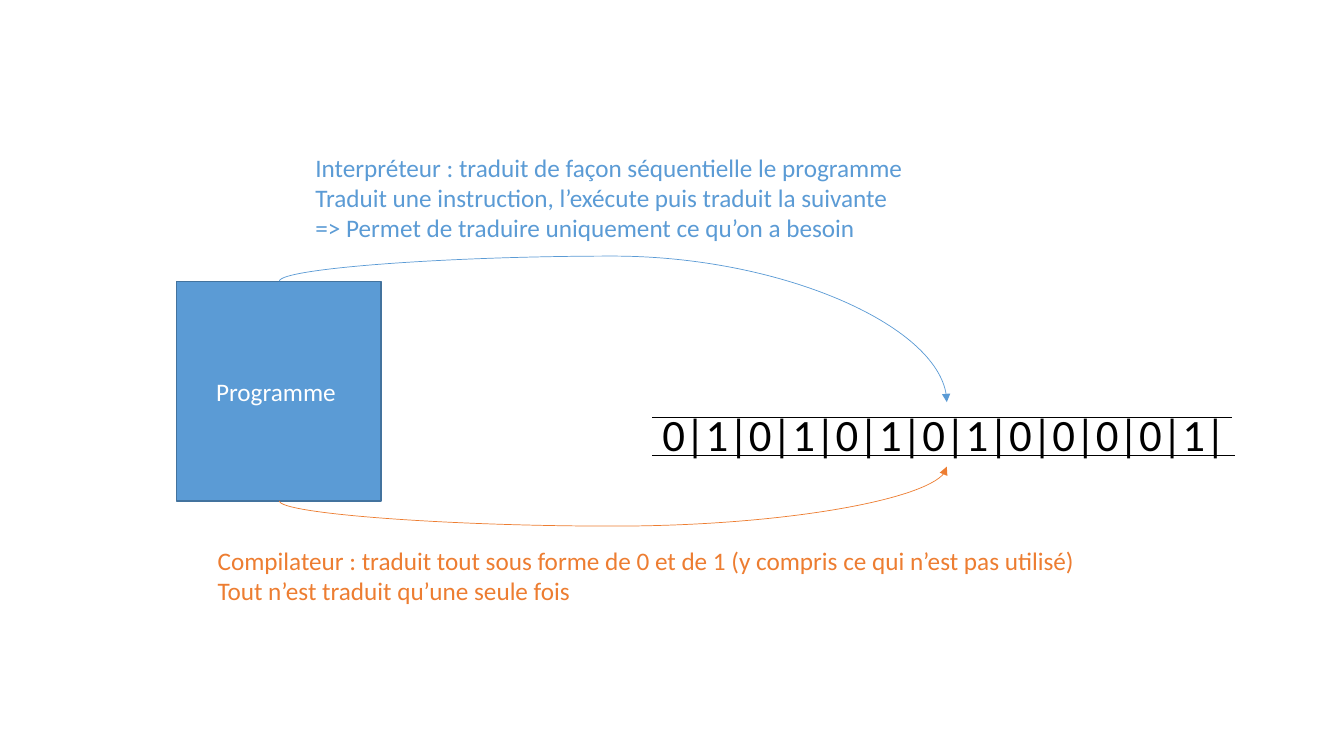
from lxml import etree
from pptx import Presentation
from pptx import util as u
from pptx.dml.color import RGBColor
from pptx.enum import shapes, text
from pptx.oxml import ns

BLUE = RGBColor(0x5B, 0x9B, 0xD5)
EDGE = RGBColor(0x43, 0x73, 0x9E)
ORANGE = RGBColor(0xED, 0x7D, 0x31)
BLACK = RGBColor(0, 0, 0)
WHITE = RGBColor(255, 255, 255)

BITS = "0101010100001"
LABELS = [
    ((6.47, 3.99, 5.85, 0.64), 32, BLACK, ["".join(b + "|" for b in BITS)]),
    ((3.03, 1.46, 6.1, 1.01), 18, BLUE, [
        "Interpréteur : traduit de façon séquentielle le programme",
        "Traduit une instruction, l’exécute puis traduit la suivante",
        "=> Permet de traduire uniquement ce qu’on a besoin "]),
    ((2.06, 5.36, 8.81, 0.71), 18, ORANGE, [
        "Compilateur : traduit tout sous forme de 0 et de 1 (y compris ce qui n’est pas utilisé)",
        "Tout n’est traduit qu’une seule fois"]),
]
BOX = (1.75, 2.79, 2.03, 2.18)
RAILS = [(6.47, 4.14, 12.22, 4.14), (6.47, 4.52, 12.25, 4.52)]
START, GOAL, BULGE = 2.77, 9.39, 0.25
ARCS = [(2.79, 3.99, 270, BLUE), (4.97, 4.63, 90, ORANGE)]

deck = Presentation()
deck.slide_width, deck.slide_height = u.Inches(13.33), u.Inches(7.5)
page = deck.slides.add_slide(deck.slide_layouts[6]).shapes


def inch(vals):
    return [u.Inches(v) for v in vals]


def write(frame, lines, size, color, align, **look):
    for key, val in look.items():
        setattr(frame, key, val)
    frame.text = "\n".join(lines)
    for para in frame.paragraphs:
        para.alignment = align
        for key, val in {"name": "Calibri", "size": u.Pt(size)}.items():
            setattr(para.font, key, val)
        para.font.color.rgb = color


def link(kind, ends, color):
    line = page.add_connector(kind, *inch(ends))
    line.line.color.rgb = color
    line.line.width = u.Pt(0.5)
    etree.SubElement(line._element.spPr, ns.qn("a:effectLst"))
    return line


def arc(top, end, turn, color):
    rise, run = abs(end - top), GOAL - START
    midx, midy = (START + GOAL) / 2, (top + end) / 2
    side = 1 if turn == 90 else -1
    ends = (midx + rise / 2, midy + side * run / 2,
            midx - rise / 2, midy - side * run / 2)
    props = link(shapes.MSO_CONNECTOR.CURVE, ends, color)._element.spPr
    props.find(ns.qn("a:xfrm")).set("rot", str(turn * 60000))
    guides = props.find(ns.qn("a:prstGeom")).find(ns.qn("a:avLst"))
    share = round(-BULGE / rise * 100000)
    etree.SubElement(guides, ns.qn("a:gd"), name="adj1", fmla=f"val {share}")
    etree.SubElement(props.find(ns.qn("a:ln")), ns.qn("a:tailEnd"), type="triangle")


for rail in RAILS:
    link(shapes.MSO_CONNECTOR.STRAIGHT, rail, BLACK)

box = page.add_shape(shapes.MSO_SHAPE.RECTANGLE, *inch(BOX))
box.shadow.inherit = False
box.fill.solid()
box.fill.fore_color.rgb = BLUE
box.line.color.rgb = EDGE
box.line.width = u.Pt(1)
write(box.text_frame, ["Programme "], 18, WHITE, text.PP_ALIGN.CENTER,
      vertical_anchor=text.MSO_ANCHOR.MIDDLE)

for bend in ARCS:
    arc(*bend)

for place, size, color, lines in LABELS:
    write(page.add_textbox(*inch(place)).text_frame, lines, size, color,
          text.PP_ALIGN.LEFT, word_wrap=False,
          auto_size=text.MSO_AUTO_SIZE.SHAPE_TO_FIT_TEXT)

deck.save("out.pptx")
